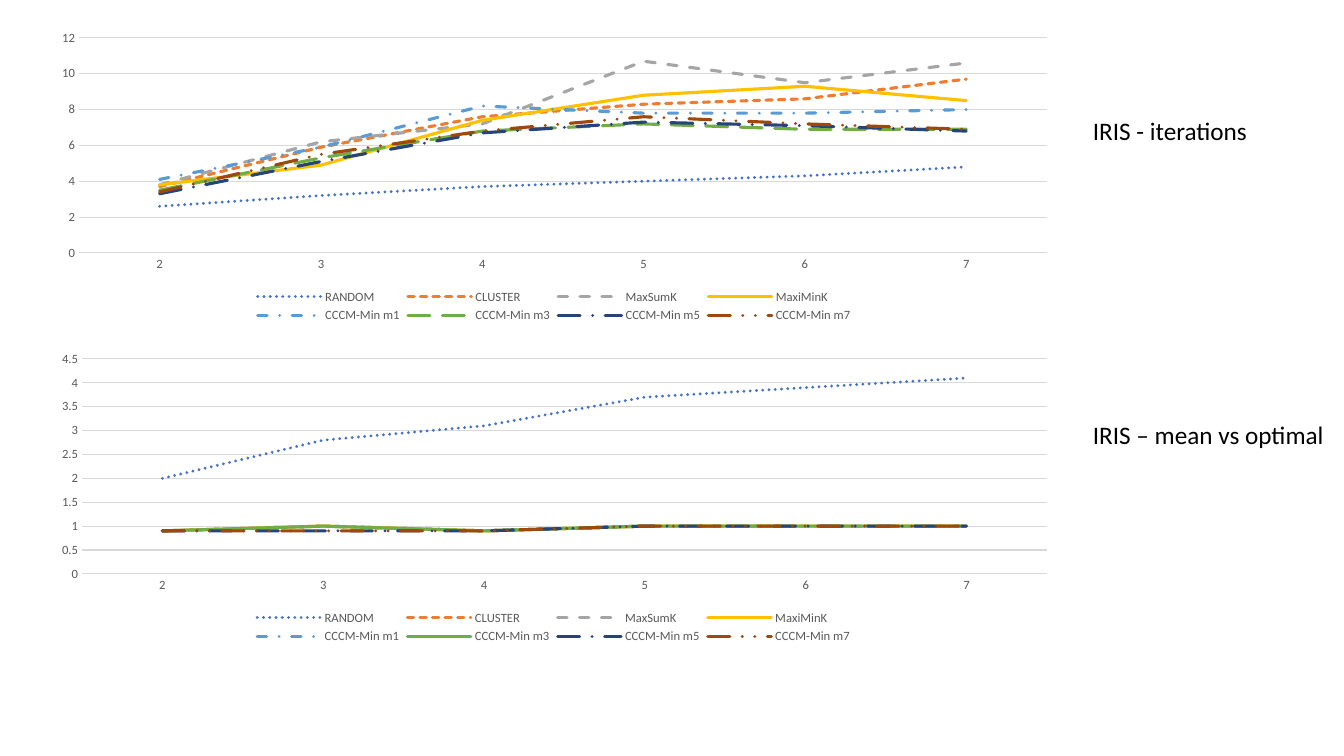
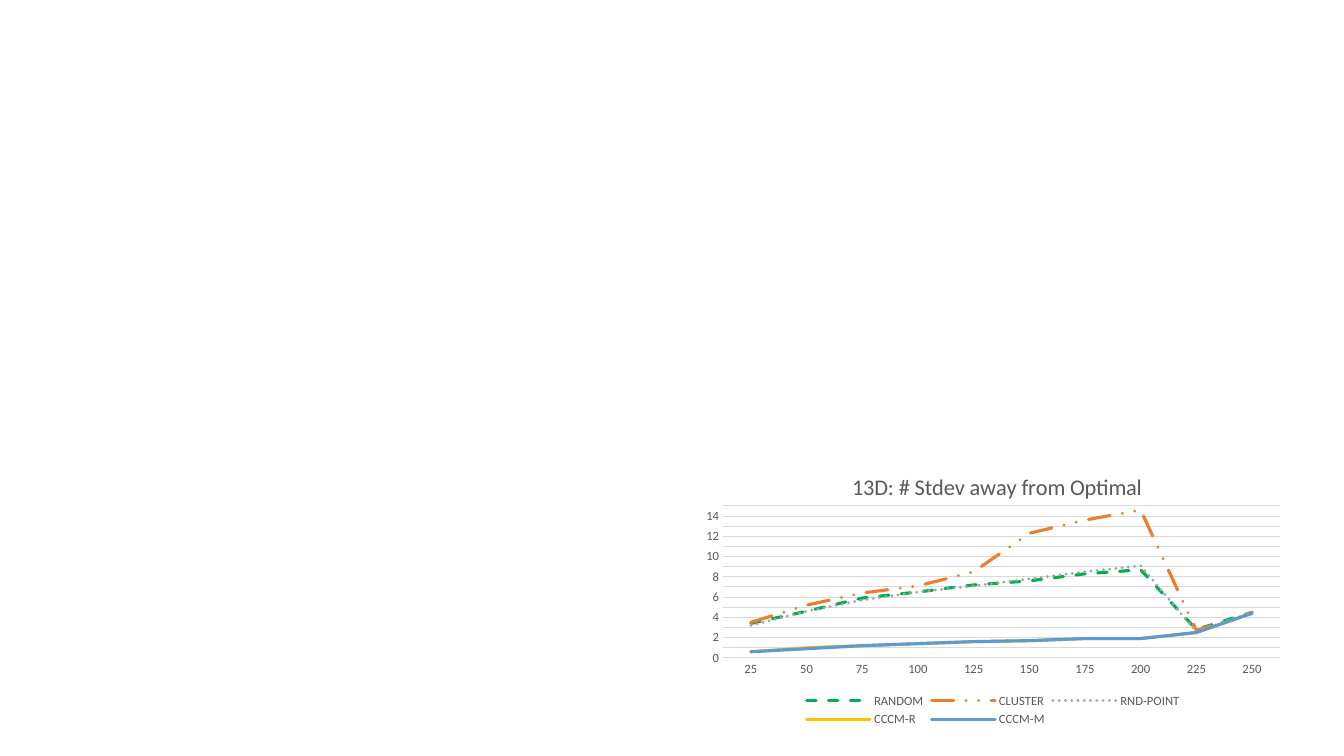
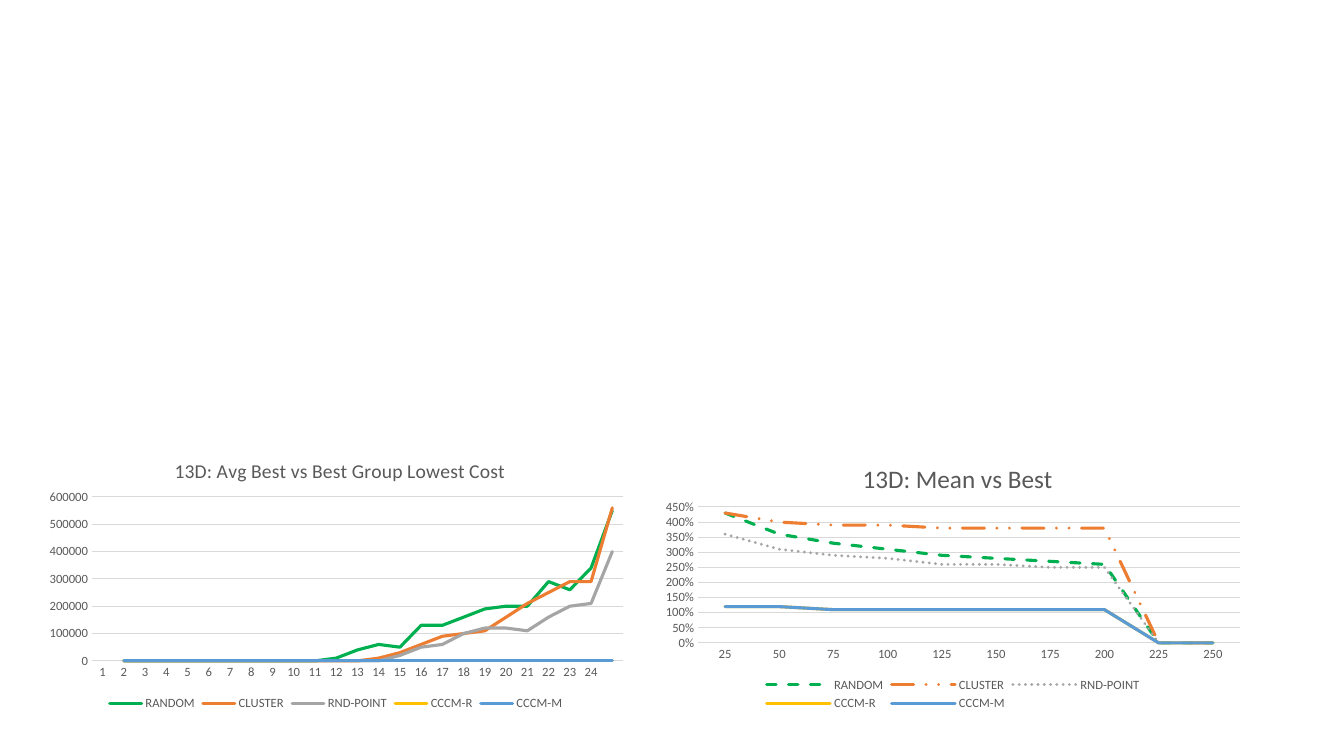
from dataclasses import dataclass, replace
from typing import Any, Optional

from lxml import etree
from pptx import Presentation
from pptx.chart.data import CategoryChartData
from pptx.dml.color import RGBColor
from pptx.enum.chart import XL_CHART_TYPE, XL_LEGEND_POSITION, XL_TICK_MARK
from pptx.enum.dml import MSO_LINE
from pptx.enum.text import MSO_AUTO_SIZE
from pptx.oxml.ns import qn
from pptx.util import Emu, Pt

SLIDE_W, SLIDE_H = 1344, 756
EMU_PER_PX = 12192000 / SLIDE_W
BLANK_LAYOUT = 6
FONT = "Calibri"

LINE_CHART = XL_CHART_TYPE.LINE
LEGEND_BOTTOM = XL_LEGEND_POSITION.BOTTOM
NO_TICK = XL_TICK_MARK.NONE
FIT_SHAPE = MSO_AUTO_SIZE.SHAPE_TO_FIT_TEXT
SOLID = MSO_LINE.SOLID
SYS_DOT = MSO_LINE.ROUND_DOT
SYS_DASH = MSO_LINE.SQUARE_DOT
DASH = MSO_LINE.DASH
DASH_DOT = MSO_LINE.DASH_DOT
LONG_DASH = MSO_LINE.LONG_DASH
LONG_DASH_DOT = MSO_LINE.LONG_DASH_DOT
LONG_DASH_DOT_DOT = MSO_LINE.DASH_DOT_DOT

BLACK = RGBColor(0x00, 0x00, 0x00)
DARK_GRAY = RGBColor(0x59, 0x59, 0x59)
LIGHT_GRAY = RGBColor(0xD9, 0xD9, 0xD9)
BLUE = RGBColor(0x44, 0x72, 0xC4)
ORANGE = RGBColor(0xED, 0x7D, 0x31)
GRAY = RGBColor(0xA5, 0xA5, 0xA5)
GOLD = RGBColor(0xFF, 0xC0, 0x00)
SKY = RGBColor(0x5B, 0x9B, 0xD5)
GREEN = RGBColor(0x70, 0xAD, 0x47)
NAVY = RGBColor(0x26, 0x44, 0x78)
BROWN = RGBColor(0x9E, 0x48, 0x0E)
EMERALD = RGBColor(0x00, 0xB0, 0x50)


@dataclass(frozen=True)
class Box:
    left: int
    top: int
    width: int
    height: int

    def emu(self) -> list[Emu]:
        return [px(n) for n in (self.left, self.top, self.width, self.height)]


@dataclass(frozen=True)
class Method:
    name: str
    color: RGBColor
    dash: Any = SOLID


@dataclass(frozen=True)
class Title:
    text: str
    size: int
    left: int
    top: int


@dataclass(frozen=True)
class LinePlot:
    frame: Box
    plot: Box
    categories: list[str]
    methods: list[Method]
    values: list[list[Optional[float]]]
    value_axis: dict[str, Any]
    number_format: str = "General"
    title: Optional[Title] = None


@dataclass(frozen=True)
class Label:
    text: str
    box: Box


IRIS_METHODS = [
    Method("RANDOM", BLUE, SYS_DOT),
    Method("CLUSTER", ORANGE, SYS_DASH),
    Method("MaxSumK", GRAY, DASH),
    Method("MaxiMinK", GOLD),
    Method("CCCM-Min m1", SKY, DASH_DOT),
    Method("CCCM-Min m3", GREEN, LONG_DASH),
    Method("CCCM-Min m5", NAVY, LONG_DASH_DOT),
    Method("CCCM-Min m7", BROWN, LONG_DASH_DOT_DOT),
]
MEAN_METHODS = [replace(m, dash=SOLID) if m.color == GREEN else m for m in IRIS_METHODS]
D13_METHODS = [
    Method("RANDOM", EMERALD, DASH),
    Method("CLUSTER", ORANGE, LONG_DASH_DOT_DOT),
    Method("RND-POINT", GRAY, SYS_DOT),
    Method("CCCM-R", GOLD),
    Method("CCCM-M", SKY),
]
SOLID_D13_METHODS = [replace(m, dash=SOLID) for m in D13_METHODS]

IRIS_CATEGORIES = [str(k) for k in range(2, 8)]
D13_CATEGORIES = [str(n) for n in range(25, 251, 25)]
RANK_CATEGORIES = [str(n) for n in range(1, 25)] + [""]

IRIS_ITERATIONS = LinePlot(
    Box(41, 25, 1026, 302), Box(79, 38, 968, 215), IRIS_CATEGORIES, IRIS_METHODS,
    [
        [2.6, 3.2, 3.7, 4, 4.3, 4.8],
        [3.7, 5.9, 7.6, 8.3, 8.6, 9.7],
        [3.8, 6.2, 7.2, 10.7, 9.5, 10.6],
        [3.8, 4.9, 7.4, 8.8, 9.3, 8.5],
        [4.1, 5.9, 8.2, 7.8, 7.8, 8],
        [3.5, 5.3, 6.8, 7.2, 6.9, 6.9],
        [3.3, 5.1, 6.7, 7.3, 7.1, 6.8],
        [3.4, 5.5, 6.8, 7.6, 7.2, 6.9],
    ],
    {},
)
IRIS_MEAN = LinePlot(
    Box(41, 346, 1025, 302), Box(82, 359, 965, 215), IRIS_CATEGORIES, MEAN_METHODS,
    [[2, 2.8, 3.1, 3.7, 3.9, 4.1]]
    + [[0.9, 1, 0.9, 1, 1, 1]] * 5
    + [[0.9, 0.9, 0.9, 1, 1, 1]] * 2,
    {},
)
D13_STDEV = LinePlot(
    Box(694, 453, 598, 278), Box(723, 506, 557, 152), D13_CATEGORIES, D13_METHODS,
    [
        [3.4, 4.6, 5.9, 6.5, 7.2, 7.6, 8.3, 8.7, 2.8, 4.5],
        [3.5, 5.2, 6.4, 7.1, 8.5, 12.3, 13.6, 14.6, 2.7, 4.5],
        [3.2, 4.6, 5.7, 6.5, 7.1, 7.8, 8.5, 9.1, 2.6, 4.5],
        [0.6, 1, 1.2, 1.4, 1.6, 1.7, 1.9, 1.9, 2.5, 4.4],
        [0.6, 0.9, 1.2, 1.4, 1.6, 1.7, 1.9, 1.9, 2.5, 4.4],
    ],
    {"minimum_scale": 0, "maximum_scale": 15, "major_unit": 1},
    "#,##0",
    Title("13D: # Stdev away from Optimal", 16, 848, 468),
)
D13_MEAN = LinePlot(
    Box(654, 437, 598, 278), Box(698, 507, 542, 136), D13_CATEGORIES, D13_METHODS,
    [
        [4.3, 3.6, 3.3, 3.1, 2.9, 2.8, 2.7, 2.6, 0, 0],
        [4.3, 4, 3.9, 3.9, 3.8, 3.8, 3.8, 3.8, 0, 0],
        [3.6, 3.1, 2.9, 2.8, 2.6, 2.6, 2.5, 2.5, 0, 0],
    ]
    + [[1.2, 1.2, 1.1, 1.1, 1.1, 1.1, 1.1, 1.1, 0, 0]] * 2,
    {"minimum_scale": 0, "maximum_scale": 4.5},
    "0%",
    Title("13D: Mean vs Best", 18, 858, 457),
)
D13_LOWEST_COST = LinePlot(
    Box(37, 437, 598, 278), Box(92, 497, 531, 164), RANK_CATEGORIES, SOLID_D13_METHODS,
    [
        [None] + [0] * 10 + [10000, 40000, 60000, 50000, 130000, 130000, 160000,
                             190000, 200000, 200000, 290000, 260000, 340000, 550000],
        [None] + [0] * 12 + [10000, 30000, 60000, 90000, 100000, 110000,
                             160000, 210000, 250000, 290000, 290000, 560000],
        [None] + [0] * 13 + [20000, 50000, 60000, 100000, 120000, 120000,
                             110000, 160000, 200000, 210000, 400000],
    ]
    + [[None] + [0] * 24] * 2,
    {},
    title=Title("13D: Avg Best vs Best Group Lowest Cost", 14, 171, 454),
)

IRIS_LABELS = [
    Label("IRIS - iterations", Box(1083, 110, 176, 40)),
    Label("IRIS – mean vs optimal", Box(1083, 414, 254, 40)),
]
SLIDES = [
    [IRIS_ITERATIONS, IRIS_MEAN, *IRIS_LABELS],
    [D13_STDEV],
    [D13_MEAN, D13_LOWEST_COST],
]


def px(length: int) -> Emu:
    return Emu(round(length * EMU_PER_PX))


def set_all(target: Any, values: dict[str, Any]) -> None:
    for name, value in values.items():
        setattr(target, name, value)


def set_font(font: Any, size: int, color: RGBColor) -> None:
    set_all(font, {"name": FONT, "size": Pt(size), "bold": False})
    font.color.rgb = color


def set_line(line: Any, color: RGBColor, width: float, dash: Any = SOLID) -> None:
    line.color.rgb = color
    set_all(line, {"width": Pt(width), "dash_style": dash})


def place_in_chart(part: Any, frame: Box, left: int, top: int,
                   size: Optional[tuple[int, int]] = None) -> None:
    """Pin a chart part with a manual layout, as fractions of the chart frame."""
    for automatic in part.xpath("c:layout"):
        part.remove(automatic)
    layout = etree.Element(qn("c:layout"))
    manual = etree.SubElement(layout, qn("c:manualLayout"))
    settings = {"xMode": "edge", "yMode": "edge",
                "x": round((left - frame.left) / frame.width, 4),
                "y": round((top - frame.top) / frame.height, 4)}
    if size:
        settings = {"layoutTarget": "inner", **settings,
                    "w": round(size[0] / frame.width, 4),
                    "h": round(size[1] / frame.height, 4)}
    for tag, value in settings.items():
        etree.SubElement(manual, qn(f"c:{tag}")).set("val", str(value))
    part.insert(len(part.xpath("c:tx")), layout)


def style_axes(chart: Any, spec: LinePlot) -> None:
    categories, values = chart.category_axis, chart.value_axis
    for axis in (categories, values):
        set_all(axis, {"major_tick_mark": NO_TICK, "minor_tick_mark": NO_TICK})
        set_font(axis.tick_labels.font, 9, DARK_GRAY)
    set_line(categories.format.line, LIGHT_GRAY, 0.75)
    values.format.line.fill.background()
    set_all(values, {"has_major_gridlines": True, **spec.value_axis})
    set_line(values.major_gridlines.format.line, LIGHT_GRAY, 0.75)
    set_all(values.tick_labels, {"number_format": spec.number_format,
                                 "number_format_is_linked": False})


def add_line_plot(slide: Any, spec: LinePlot) -> None:
    data = CategoryChartData()
    data.categories = spec.categories
    for method, values in zip(spec.methods, spec.values):
        data.add_series(method.name, values)
    chart = slide.shapes.add_chart(LINE_CHART, *spec.frame.emu(), data).chart
    set_font(chart.font, 10, BLACK)
    set_all(chart, {"has_legend": True, "has_title": spec.title is not None})
    set_all(chart.legend, {"position": LEGEND_BOTTOM, "include_in_layout": False})
    set_font(chart.legend.font, 9, DARK_GRAY)
    style_axes(chart, spec)

    chart.plots[0].vary_by_categories = False
    for series, method in zip(chart.plots[0].series, spec.methods):
        series.smooth = False
        set_line(series.format.line, method.color, 2.25, method.dash)
    for stroke in chart.element.xpath(".//c:ser/c:spPr/a:ln"):
        stroke.set("cap", "rnd")

    plot = spec.plot
    place_in_chart(chart.element.xpath(".//c:plotArea")[0], spec.frame,
                   plot.left, plot.top, (plot.width, plot.height))
    if spec.title:
        heading = chart.chart_title.text_frame.paragraphs[0].add_run()
        heading.text = spec.title.text
        set_font(heading.font, spec.title.size, DARK_GRAY)
        place_in_chart(chart.element.xpath("c:chart/c:title")[0], spec.frame,
                       spec.title.left, spec.title.top)


def add_label(slide: Any, label: Label) -> None:
    frame = slide.shapes.add_textbox(*label.box.emu()).text_frame
    set_all(frame, {"word_wrap": False, "auto_size": FIT_SHAPE})
    run = frame.paragraphs[0].add_run()
    run.text = label.text
    set_font(run.font, 18, BLACK)


def main() -> None:
    deck = Presentation()
    set_all(deck, {"slide_width": px(SLIDE_W), "slide_height": px(SLIDE_H)})
    for items in SLIDES:
        slide = deck.slides.add_slide(deck.slide_layouts[BLANK_LAYOUT])
        for item in items:
            if isinstance(item, LinePlot):
                add_line_plot(slide, item)
            else:
                add_label(slide, item)
    deck.save("out.pptx")


if __name__ == "__main__":
    main()
